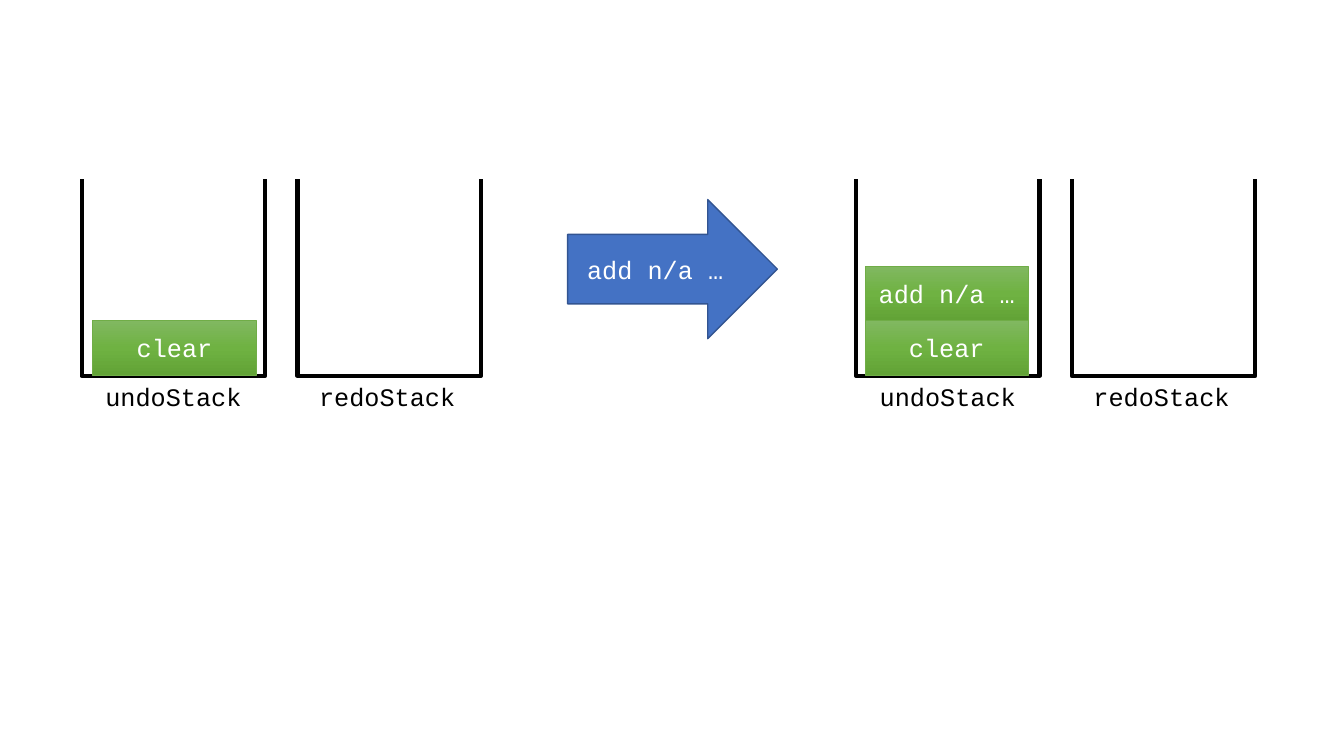
from copy import deepcopy

from pptx import Presentation
from pptx.dml.color import RGBColor
from pptx.enum.shapes import MSO_SHAPE
from pptx.enum.text import MSO_ANCHOR, MSO_AUTO_SIZE, PP_ALIGN
from pptx.oxml.ns import qn
from pptx.util import Inches, Pt

BLACK = RGBColor(0x00, 0x00, 0x00)
WHITE = RGBColor(0xFF, 0xFF, 0xFF)
BLUE = RGBColor(0x44, 0x72, 0xC4)
NAVY = RGBColor(0x32, 0x54, 0x91)
GREEN = RGBColor(0x70, 0xAD, 0x47)
SHADES = (
    (0, RGBColor(0x81, 0xB8, 0x61)),
    (0.5, RGBColor(0x6F, 0xB2, 0x42)),
    (1, RGBColor(0x62, 0xA3, 0x36)),
)

STACK_TOP, STACK_W, STACK_H = 1.61, 1.82, 2.12
FLOOR = STACK_TOP + STACK_H
BLOCK_W, BLOCK_H = 1.62, 0.54


class Board:
    font = "Courier New"
    size = Pt(18)

    def __init__(self, slide):
        self.slide = slide

    def words(self, shape, text, color):
        """Put one centred run of text into a shape."""
        para = shape.text_frame.paragraphs[0]
        para.alignment = PP_ALIGN.CENTER
        run = para.add_run()
        run.text = text
        run.font.name = self.font
        run.font.size = self.size
        run.font.color.rgb = color

    def shape(self, kind, box, line, width, fill=None, text=None, home=None):
        """Draw a preset shape on the slide, or in the group given as home."""
        item = (home or self.slide).shapes.add_shape(kind, *map(Inches, box))
        item.shadow.inherit = False
        item.line.color.rgb = line
        item.line.width = Pt(width)
        if fill is not None:
            item.fill.solid()
            item.fill.fore_color.rgb = fill
        if text:
            item.text_frame.vertical_anchor = MSO_ANCHOR.MIDDLE
            self.words(item, text, WHITE)
        return item

    def stack(self, left):
        """Draw a box whose top edge is masked, so it looks open."""
        group = self.slide.shapes.add_group_shape()
        rect = MSO_SHAPE.RECTANGLE
        self.shape(rect, (left, STACK_TOP, STACK_W, STACK_H), BLACK, 3, WHITE, home=group)
        self.shape(rect, (left - 0.15, 1.51, 2.09, 0.26), WHITE, 1, WHITE, home=group)

    def label(self, left, text):
        box = self.slide.shapes.add_textbox(*map(Inches, (left, FLOOR, STACK_W, 0.4)))
        box.text_frame.word_wrap = True
        box.text_frame.auto_size = MSO_AUTO_SIZE.SHAPE_TO_FIT_TEXT
        self.words(box, text, BLACK)

    def block(self, left, level, text):
        """Draw a stack entry; level 0 rests on the floor."""
        top = FLOOR - 0.01 - (level + 1) * BLOCK_H
        item = self.shape(MSO_SHAPE.RECTANGLE, (left, top, BLOCK_W, BLOCK_H), GREEN, 0.5, text=text)
        item.fill.gradient()
        item.fill.gradient_angle = 270
        stops = item._element.spPr.find(".//" + qn("a:gsLst"))
        stops.append(deepcopy(stops[-1]))
        for stop, (place, color) in zip(item.fill.gradient_stops, SHADES):
            stop.position = place
            stop.color.rgb = color

    def pair(self, left):
        """Draw the undo and redo stacks side by side with their labels."""
        redo = left + 2.14
        self.stack(left)
        self.stack(redo)
        self.label(left, "undoStack")
        self.label(redo - 0.02, "redoStack")

    def arrow(self, box, text):
        self.shape(MSO_SHAPE.RIGHT_ARROW, box, NAVY, 1, BLUE, text)


def main():
    deck = Presentation()
    deck.slide_width, deck.slide_height = Inches(13.33), Inches(7.5)
    board = Board(deck.slides.add_slide(deck.slide_layouts[6]))

    board.pair(0.81)
    board.arrow((5.63, 1.98, 2.08, 1.38), "add n/a …")
    board.pair(8.49)
    board.block(0.92, 0, "clear")
    for level, text in enumerate(("clear", "add n/a …")):
        board.block(8.58, level, text)

    deck.save("out.pptx")


if __name__ == "__main__":
    main()
